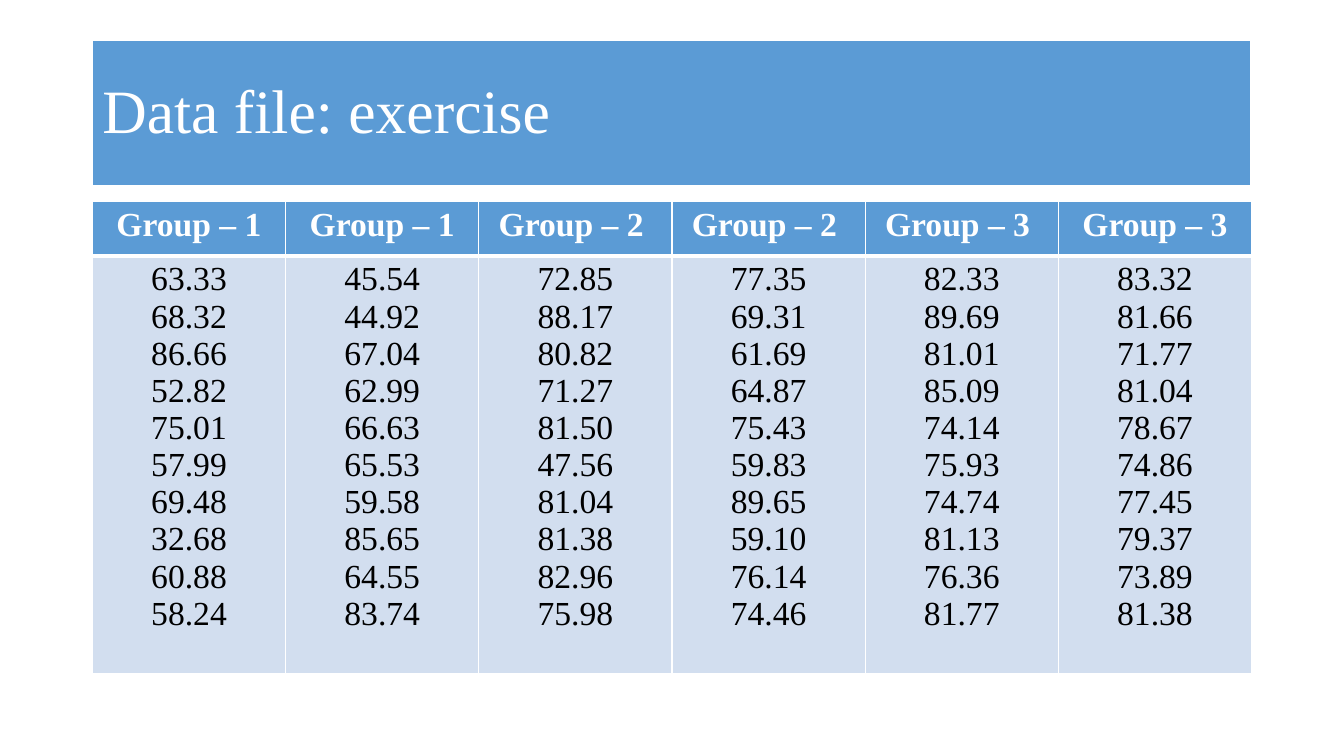
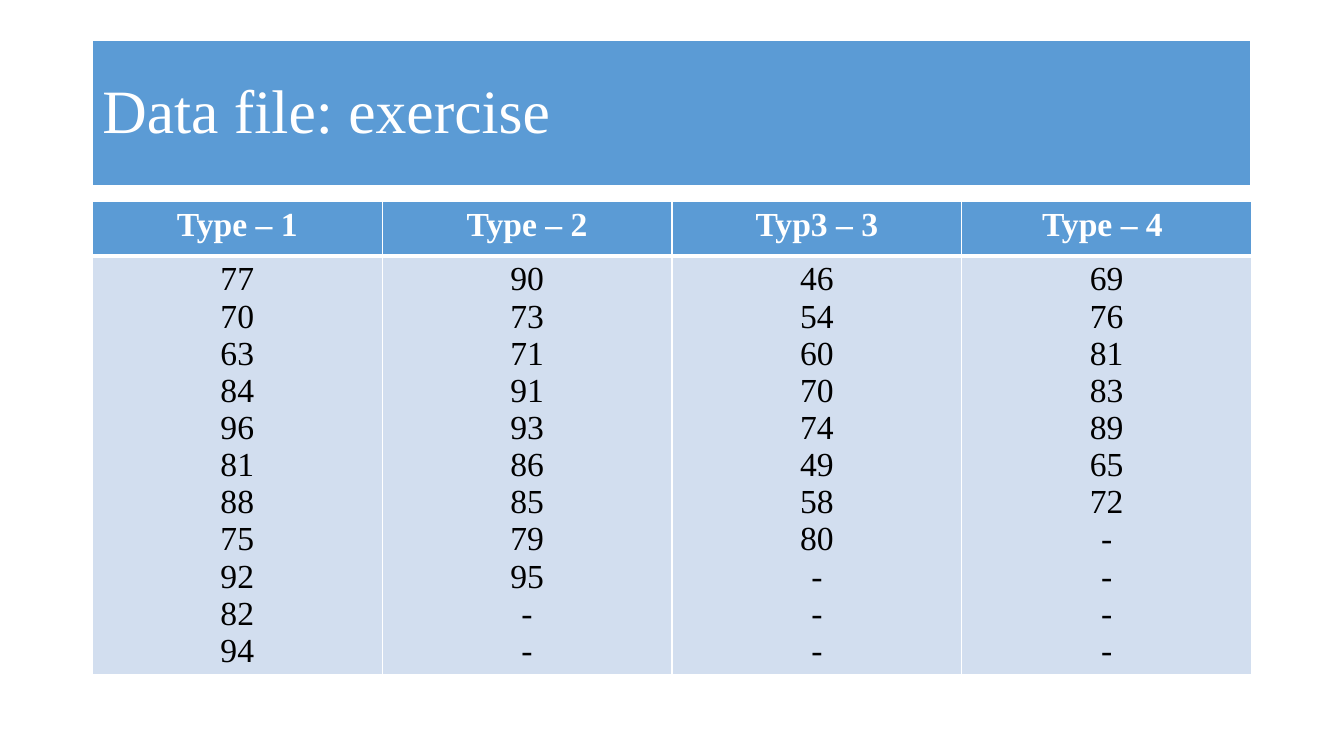
import pptx
import pptx.util
import pptx.dml.color
import pptx.enum.shapes
import pptx.enum.text
import pptx.oxml
import pptx.oxml.ns

WIDE, HIGH = pptx.util.Inches(13.333), pptx.util.Inches(7.5)
COLS, ROWS = 160, 150
LEFT, SPAN = 11, 138
BAND_TOP, BAND_TALL = 8, 29
GRID_TOP, HEAD_TALL, BODY_TALL = 40, 10.8, 82.8

BLUE, PALE, WHITE, BLACK = "5B9BD5", "D2DEEF", "FFFFFF", "000000"
FACE = "Times New Roman"
ALIGN = pptx.enum.text.PP_ALIGN
MIDDLE = pptx.enum.text.MSO_ANCHOR.MIDDLE
THIN, THICK = 1, 3

TITLE = {"name": FACE, "size": pptx.util.Pt(44), "bold": False}
HEAD = {"name": FACE, "size": pptx.util.Pt(24), "bold": True}
BODY = {**HEAD, "bold": False}

GROUPS = [
    ("Group – 1", "63.33 68.32 86.66 52.82 75.01 57.99 69.48 32.68 60.88 58.24"),
    ("Group – 1", "45.54 44.92 67.04 62.99 66.63 65.53 59.58 85.65 64.55 83.74"),
    ("Group – 2 ", "72.85 88.17 80.82 71.27 81.50 47.56 81.04 81.38 82.96 75.98"),
    ("Group – 2 ", "77.35 69.31 61.69 64.87 75.43 59.83 89.65 59.10 76.14 74.46"),
    ("Group – 3 ", "82.33 89.69 81.01 85.09 74.14 75.93 74.74 81.13 76.36 81.77"),
    ("Group – 3", "83.32 81.66 71.77 81.04 78.67 74.86 77.45 79.37 73.89 81.38"),
]
TYPES = [
    ("Type – 1", "77 70 63 84 96 81 88 75 92 82 94"),
    ("Type – 2", "90 73 71 91 93 86 85 79 95 - -"),
    ("Typ3 – 3", "46 54 60 70 74 49 58 80 - - -"),
    ("Type – 4 ", "69 76 81 83 89 65 72 - - - -"),
]


def across(cols):
    """Turn grid columns into a length."""
    return pptx.util.Emu(round(WIDE * cols / COLS))


def down(rows):
    """Turn grid rows into a length."""
    return pptx.util.Emu(round(HIGH * rows / ROWS))


def tint(code):
    """Turn a hex string into a colour."""
    return pptx.dml.color.RGBColor.from_string(code)


def put(thing, form):
    """Set each attribute named in a dict of format values."""
    for name, value in form.items():
        setattr(thing, name, value)


def paint(thing, code):
    """Give a shape or a cell a solid fill."""
    thing.fill.solid()
    thing.fill.fore_color.rgb = tint(code)


def write(frame, lines, font, code, para):
    """Fill a text frame with one paragraph a line."""
    for i, line in enumerate(lines):
        item = frame.add_paragraph() if i else frame.paragraphs[0]
        put(item, para)
        run = item.add_run()
        run.text = line
        put(run.font, font)
        run.font.color.rgb = tint(code)


def edge(cell, top, base):
    """Draw white borders round a cell, with widths in points."""
    props = cell._tc.get_or_add_tcPr()
    for side, width in zip("LRTB", (THIN, THIN, top, base)):
        props.append(pptx.oxml.parse_xml(
            f'<a:ln{side} {pptx.oxml.ns.nsdecls("a")} w="{pptx.util.Pt(width)}">'
            f'<a:solidFill><a:srgbClr val="{WHITE}"/></a:solidFill></a:ln{side}>'))


def band(slide, text):
    """Add the blue title band."""
    box = slide.shapes.add_shape(
        pptx.enum.shapes.MSO_SHAPE.RECTANGLE,
        across(LEFT), down(BAND_TOP), across(SPAN), down(BAND_TALL))
    box.shadow.inherit = False
    paint(box, BLUE)
    box.line.color.rgb = tint(WHITE)
    box.line.width = pptx.util.Pt(1.5)
    put(box.text_frame, {"word_wrap": True, "vertical_anchor": MIDDLE})
    write(box.text_frame, [text], TITLE, WHITE,
          {"alignment": ALIGN.LEFT, "line_spacing": 0.9})


def fill(cell, lines, font, ink, back, top, base):
    """Style one table cell and write its centred lines."""
    edge(cell, top, base)
    paint(cell, back)
    write(cell.text_frame, lines, font, ink, {"alignment": ALIGN.CENTER})


def grid(slide, data):
    """Add a table with a head row over one tall row of values."""
    table = slide.shapes.add_table(
        2, len(data), across(LEFT), down(GRID_TOP),
        across(SPAN), down(HEAD_TALL + BODY_TALL)).table
    put(table, {"first_row": False, "horz_banding": False})
    for row, tall in zip(table.rows, (HEAD_TALL, BODY_TALL)):
        row.height = down(tall)
    for i, (head, values) in enumerate(data):
        table.columns[i].width = across(SPAN / len(data))
        fill(table.cell(0, i), [head], HEAD, WHITE, BLUE, THIN, THICK)
        fill(table.cell(1, i), values.split(), BODY, BLACK, PALE, THICK, THIN)


def main():
    """Build and save the slides."""
    deck = pptx.Presentation()
    put(deck, {"slide_width": WIDE, "slide_height": HIGH})
    for data in (GROUPS, TYPES):
        slide = deck.slides.add_slide(deck.slide_layouts[6])
        band(slide, "Data file: exercise")
        grid(slide, data)
    deck.save("out.pptx")


main()
